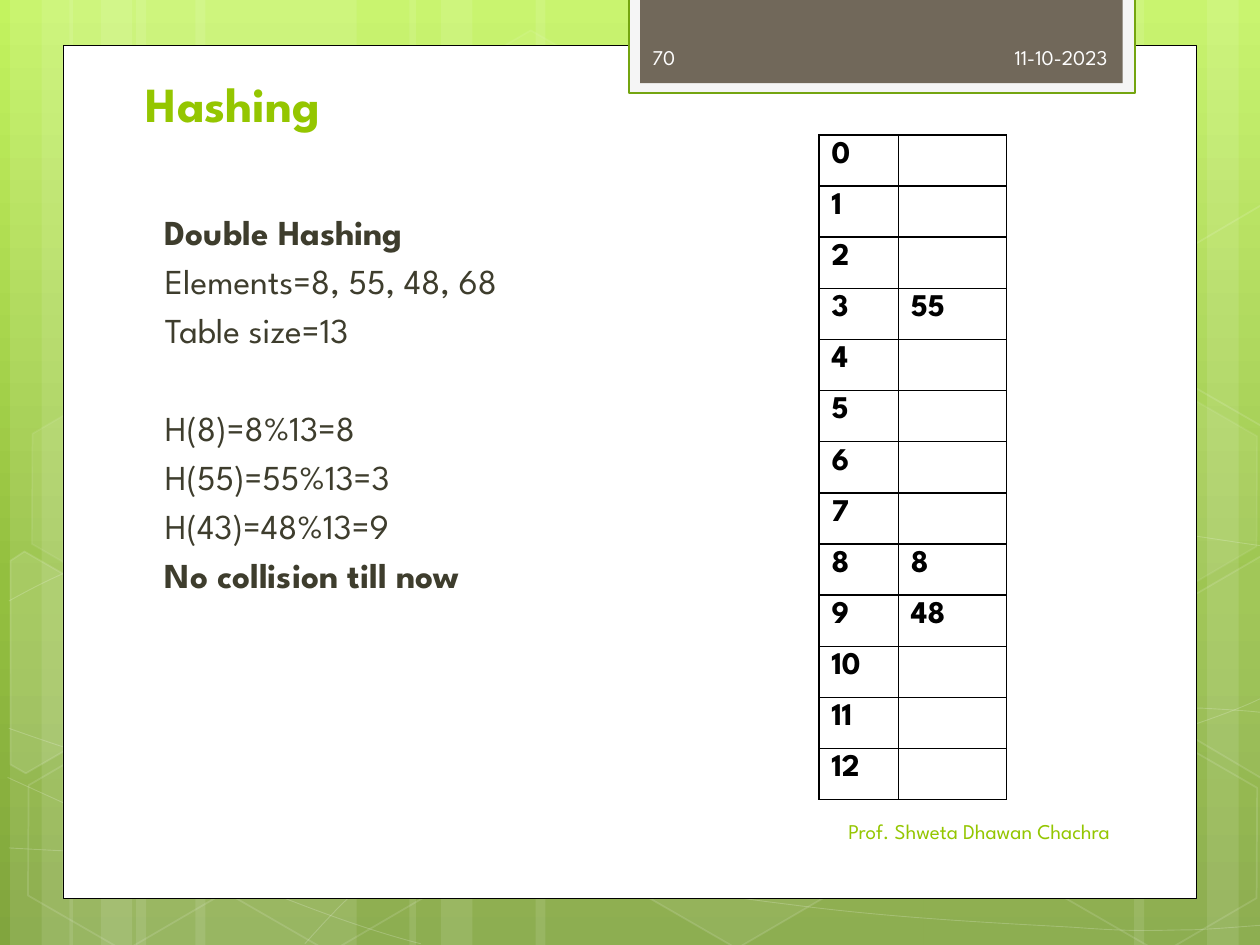
from math import cos, radians, sin

from lxml.etree import SubElement
from pptx import Presentation
from pptx.dml.color import RGBColor
from pptx.enum.shapes import MSO_SHAPE
from pptx.enum.text import MSO_ANCHOR, PP_ALIGN
from pptx.oxml import parse_xml
from pptx.oxml.ns import nsdecls, qn
from pptx.util import Pt

PX = 9144
FONT = "League Spartan"
TILT = 30
COLORS = {
    "white": "FFFFFF", "black": "000000", "green": "94C600", "olive": "3E3D2D",
    "brown": "71685A", "pale": "F5F5F5", "frame": "74A510", "light": "FEFEFE",
    "top": "C3F35F", "middle": "93BF3F", "bottom": "81A53E",
}
STRIPES = [(108, 175, 0), (8, 50, 0), (33, 83, 0), (155, 175, 0), (55, 50, 0), (80, 83, 0),
           (733, 175, 180), (958, 50, 180), (900, 83, 180),
           (425, 308, 0), (325, 50, 0), (350, 83, 0)]
CURVES = [
    [(7, 673), (61, 676, 115, 679, 190, 678), (265, 677, 358, 675, 458, 665),
     (558, 655, 700, 636, 792, 617), (883, 598, 977, 568, 1007, 551)],
    [(7, 477), (36, 461, 65, 446, 121, 431), (178, 416, 259, 394, 347, 387),
     (436, 380, 544, 379, 654, 387), (764, 395, 947, 426, 1007, 434)],
    [(6, 617), (127, 672, 247, 727, 334, 749)],
    [(7, 578), (38, 589, 70, 600, 128, 616), (186, 631, 273, 656, 357, 673),
     (440, 690, 545, 708, 628, 718), (711, 729, 800, 733, 853, 736),
     (905, 740, 919, 738, 945, 738), (971, 737, 989, 735, 1007, 734)],
    [(242, 749), (260, 729, 278, 709, 302, 691), (326, 673, 360, 653, 388, 639),
     (416, 625, 433, 619, 470, 609), (506, 599, 573, 585, 608, 578),
     (644, 571, 649, 571, 680, 569), (711, 566, 760, 563, 794, 562),
     (829, 561, 886, 562, 886, 562), (953, 562),
     (971, 563, 988, 564, 997, 565), (1006, 566, 1003, 565, 1006, 566)],
]
HEXAGONS = [(334, 36, 4, 8), (497, 589, 6, 12), (11, 591, 0, 12), (14, 312, 7, 8),
            (174, 592, 0, 12), (753, 453, 10, 12), (834, 593, 0, 12), (834, 314, 7, 8)]
CUT_HEXAGONS = [
    ((36, 535), [(8, 445), (19, 438), (96, 482), (95, 570), (20, 614), (8, 607)], 10),
    ((985, 520), [(926, 485), (1001, 441), (1009, 446), (1009, 613), (1002, 617), (926, 573)], 4),
    ((985, 241), [(926, 207), (1001, 163), (1010, 168), (1009, 335), (1002, 339), (926, 295)], 0),
]
LINES = [
    ("Double Hashing", True, 4), ("Elements=8, 55, 48, 68", False, 4),
    ("Table size=13", False, 4), ("H(8)=8%13=8", False, 32),
    ("H(55)=55%13=3", False, 4), ("H(43)=48%13=9", False, 4),
    ("No collision till now", True, 4),
]
SLOTS = 13
STORED = {3: "55", 8: "8", 9: "48"}


def color(name):
    return RGBColor.from_string(COLORS[name])


def paint(fill, name, alpha=100):
    if not name or not alpha:
        fill.background()
        return
    fill.solid()
    fill.fore_color.rgb = color(name)
    if alpha < 100:
        tint = next(fill._xPr.iter(qn("a:srgbClr")))
        SubElement(tint, qn("a:alpha"), val=str(alpha * 1000))


def finish(shape, fill=None, alpha=100, line=None, width=1, line_alpha=100):
    shape.shadow.inherit = False
    paint(shape.fill, fill, alpha)
    paint(shape.line.fill, line, line_alpha)
    if line:
        shape.line.width = Pt(width)


def add_shape(slide, kind, box, rotation=0, **style):
    shape = slide.shapes.add_shape(kind, *(value * PX for value in box))
    shape.rotation = rotation
    finish(shape, **style)
    return shape


def add_outline(slide, points, close, **style):
    builder = slide.shapes.build_freeform(*points[0], scale=PX)
    builder.add_line_segments(points[1:], close=close)
    shape = builder.convert_to_shape()
    finish(shape, **style)
    return shape


def add_curve(slide, left, top, segments, **style):
    points = [(left + segment[i], top + segment[i + 1])
              for segment in segments for i in range(0, len(segment), 2)]
    shape = add_outline(slide, points, False, **style)
    steps = iter(list(shape.element.iter(qn("a:lnTo"))))
    for segment in segments[1:]:
        first = next(steps)
        if len(segment) == 6:
            first.tag = qn("a:cubicBezTo")
            for _ in range(2):
                step = next(steps)
                first.append(step[0])
                step.getparent().remove(step)


def add_cut_hexagon(slide, center, corners, **style):
    x0, y0 = center
    c, s = cos(radians(TILT)), sin(radians(TILT))
    points = [(x0 + (x - x0) * c + (y - y0) * s, y0 - (x - x0) * s + (y - y0) * c)
              for x, y in corners]
    add_outline(slide, points, True, **style).rotation = TILT


def write_text(paragraph, text, size=12, ink="black", bold=False,
               align=PP_ALIGN.LEFT, before=0):
    paragraph.alignment = align
    paragraph.space_before = Pt(before)
    run = paragraph.add_run()
    run.text = text
    run.font.name = FONT
    run.font.size = Pt(size)
    run.font.bold = bold
    run.font.color.rgb = color(ink)


def add_frame(slide, box, anchor=MSO_ANCHOR.MIDDLE):
    frame = slide.shapes.add_textbox(*(value * PX for value in box)).text_frame
    frame.word_wrap = True
    frame.vertical_anchor = anchor
    return frame


def add_label(slide, box, text, anchor=MSO_ANCHOR.MIDDLE, **style):
    write_text(add_frame(slide, box, anchor).paragraphs[0], text, **style)


def add_backdrop(slide, box):
    left, top, width, height = box
    stops = "".join(
        f'<a:gs pos="{position}"><a:srgbClr val="{COLORS[name]}"/></a:gs>'
        for position, name in ((0, "top"), (62000, "middle"), (100000, "bottom")))
    slide.element.cSld.insert(0, parse_xml(
        f'<p:bg {nsdecls("p", "a")}><p:bgPr><a:gradFill rotWithShape="1">'
        f'<a:gsLst>{stops}</a:gsLst><a:lin ang="5400000" scaled="0"/></a:gradFill>'
        '<a:effectLst/></p:bgPr></p:bg>'))
    for x, stripe, rotation in STRIPES:
        add_shape(slide, MSO_SHAPE.RECTANGLE, (left + x, top, stripe, height),
                  rotation, fill="white", alpha=10)
    for segments in CURVES:
        add_curve(slide, left, top, segments, line="white", width=0.5, line_alpha=20)
    for x, y, alpha, line_alpha in HEXAGONS:
        hexagon = add_shape(slide, MSO_SHAPE.HEXAGON, (left + x, top + y, 175, 152), TILT,
                            fill="white", alpha=alpha, line="white", line_alpha=line_alpha)
        hexagon.adjustments[0] = 0.285
    for (x0, y0), corners, alpha in CUT_HEXAGONS:
        add_cut_hexagon(slide, (left + x0, top + y0), [(left + x, top + y) for x, y in corners],
                        fill="white", alpha=alpha, line="white", line_alpha=12)


def add_header_tab(slide, box):
    left, top, width, height = box
    add_shape(slide, MSO_SHAPE.RECTANGLE, box, fill="pale", line="frame", width=1.25)
    add_shape(slide, MSO_SHAPE.RECTANGLE, (left + 9, top, width - 19, height - 8), fill="brown")
    add_label(slide, (left + 157, top + 27, 233, 40), "11-10-2023", ink="light",
              align=PP_ALIGN.RIGHT)
    add_label(slide, (left + 9, top + 27, 146, 40), "70", ink="light")


def add_body(slide, box):
    frame = add_frame(slide, box, MSO_ANCHOR.TOP)
    for index, (text, bold, before) in enumerate(LINES):
        paragraph = frame.add_paragraph() if index else frame.paragraphs[0]
        write_text(paragraph, text, size=20, ink="olive", bold=bold, before=before)
        paragraph._p.get_or_add_pPr().set("marL", str(7 * PX))


def format_cell(cell, text):
    cell.fill.background()
    properties = cell._tc.get_or_add_tcPr()
    for index, side in enumerate(("lnL", "lnR", "lnT", "lnB")):
        properties.insert(index, parse_xml(
            f'<a:{side} {nsdecls("a")} w="12700"><a:solidFill>'
            f'<a:srgbClr val="{COLORS["black"]}"/></a:solidFill></a:{side}>'))
    if text:
        write_text(cell.text_frame.paragraphs[0], text, size=18, bold=True)


def add_hash_table(slide, box):
    left, top, width, height = (value * PX for value in box)
    table = slide.shapes.add_table(SLOTS, 2, left, top, width, height).table
    table.first_row = table.horz_banding = False
    table.columns[0].width = 63 * PX
    table.columns[1].width = width - 63 * PX
    for slot in range(SLOTS):
        table.rows[slot].height = height // SLOTS
        format_cell(table.cell(slot, 0), str(slot))
        format_cell(table.cell(slot, 1), STORED.get(slot))


def main():
    presentation = Presentation()
    presentation.slide_width = 1000 * PX
    presentation.slide_height = 750 * PX
    slide = presentation.slides.add_slide(presentation.slide_layouts[6])
    add_backdrop(slide, (0, 0, 1000, 750))
    add_shape(slide, MSO_SHAPE.RECTANGLE, (50, 36, 900, 677), fill="white",
              line="black", width=0.5)
    add_header_tab(slide, (499, -2, 402, 76))
    add_label(slide, (106, 52, 768, 58), "Hashing", anchor=MSO_ANCHOR.BOTTOM,
              size=28, ink="green", bold=True)
    add_body(slide, (114, 162, 741, 475))
    add_label(slide, (508, 640, 383, 40), "Prof. Shweta Dhawan Chachra", ink="green",
              align=PP_ALIGN.RIGHT)
    add_hash_table(slide, (650, 107, 149, 528))
    presentation.save("out.pptx")


if __name__ == "__main__":
    main()
